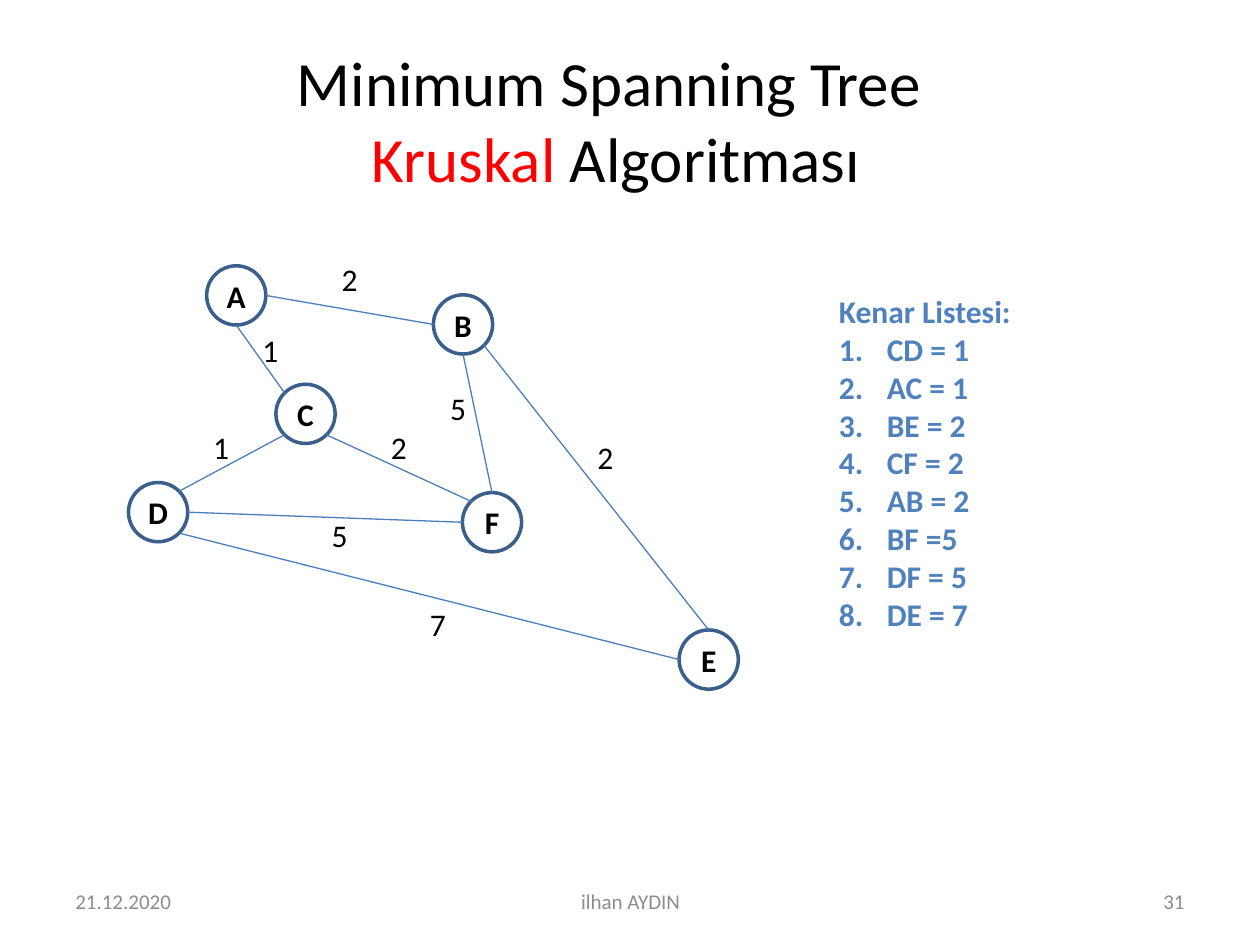
"""Build the slide on Kruskal's minimum spanning tree."""
from dataclasses import dataclass
from math import cos, radians, sin
from typing import Any

from lxml import etree
from pptx import Presentation
from pptx.dml.color import RGBColor
from pptx.enum import shapes, text
from pptx.oxml.ns import qn
from pptx.util import Inches, Pt


@dataclass(frozen=True)
class Theme:
    """Hold colours and type sizes."""
    font: str = "Calibri"
    ink: str = "000000"
    red: str = "FF0000"
    ring: str = "3A5F8C"
    edge: str = "4B7EBC"
    list: str = "4F81BD"
    gray: str = "8C8C8C"
    head: int = 36
    body: int = 18
    foot: int = 12


@dataclass(frozen=True)
class Node:
    """Hold a circle's left and top."""
    left: float
    top: float

    def site(self, angle: int) -> tuple[float, float]:
        """Give the point on the circle at a clockwise angle from the right."""
        half, turn = SIZE / 2, radians(angle)
        return self.left + half * (1 + cos(turn)), self.top + half * (1 + sin(turn))


@dataclass(frozen=True)
class Edge:
    """Hold an edge's ends, their angles, its weight and the label's place."""
    ends: str
    out: int
    into: int
    cost: str
    left: float
    top: float


@dataclass(frozen=True)
class Foot:
    """Hold a footer's words, place and alignment."""
    words: str
    left: float
    width: float
    align: text.PP_ALIGN


LOOK = Theme()
SIZE = 0.47
ALIGN = text.PP_ALIGN
MID = text.MSO_ANCHOR.MIDDLE
RIGHT, LOW_R, DOWN, LOW_L, LEFT, TOP_L, UP, TOP_R = range(0, 360, 45)
NODES = {
    "A": Node(1.64, 2.11), "C": Node(2.19, 3.05), "F": Node(3.67, 3.91),
    "D": Node(1.02, 3.83), "B": Node(3.44, 2.34), "E": Node(5.39, 5),
}
EDGES = [
    Edge("AB", RIGHT, LEFT, "2", 2.58, 2.03),
    Edge("DF", RIGHT, LEFT, "5", 2.5, 4.06),
    Edge("CF", LOW_R, TOP_L, "2", 2.97, 3.36),
    Edge("DC", TOP_R, LOW_L, "1", 1.56, 3.36),
    Edge("AC", DOWN, TOP_L, "1", 1.95, 2.59),
    Edge("BE", LOW_R, UP, "2", 4.61, 3.44),
    Edge("DE", LOW_R, LEFT, "7", 3.28, 4.77),
    Edge("BF", DOWN, UP, "5", 3.44, 3.05),
]
ITEMS = ["CD = 1", "AC = 1", "BE = 2", "CF = 2", "AB = 2", "BF =5", "DF = 5", "DE = 7"]
FEET = [
    Foot("21.12.2020", 0.5, 2.33, ALIGN.LEFT),
    Foot("31", 7.17, 2.33, ALIGN.RIGHT),
    Foot("ilhan AYDIN", 3.42, 3.17, ALIGN.CENTER),
]


def add_run(para: Any, words: str, size: int, color: str, bold: bool = False) -> None:
    """Add one styled run."""
    run = para.add_run()
    run.text = words
    font = run.font
    font.name, font.size, font.bold = LOOK.font, Pt(size), bold
    font.color.rgb = RGBColor.from_string(color)


def add_box(slide: Any, left: float, top: float, width: float, height: float) -> Any:
    """Add an empty text box and give its frame."""
    frame = slide.shapes.add_textbox(*map(Inches, (left, top, width, height))).text_frame
    frame.word_wrap = True
    return frame


def add_label(slide: Any, words: str, area: tuple[float, ...], size: int,
              color: str, align: text.PP_ALIGN) -> None:
    """Add one line of text centred in height."""
    frame = add_box(slide, *area)
    frame.vertical_anchor = MID
    para = frame.paragraphs[0]
    para.alignment = align
    add_run(para, words, size, color)


def add_title(slide: Any) -> None:
    """Fill the title in two lines."""
    title = slide.shapes.title
    title.left, title.top, title.width, title.height = map(Inches, (0.39, 0.39, 9, 1.11))
    frame = title.text_frame
    frame.auto_size = text.MSO_AUTO_SIZE.NONE
    frame.vertical_anchor = MID
    para = frame.paragraphs[0]
    para.alignment = ALIGN.CENTER
    add_run(para, "Minimum Spanning Tree ", LOOK.head, LOOK.ink)
    para.add_line_break()
    add_run(para, "Kruskal ", LOOK.head, LOOK.red)
    add_run(para, "Algoritması", LOOK.head, LOOK.ink)


def add_node(slide: Any, name: str, node: Node) -> None:
    """Draw a lettered circle."""
    ring = slide.shapes.add_shape(
        shapes.MSO_SHAPE.OVAL, *map(Inches, (node.left, node.top, SIZE, SIZE)))
    ring.shadow.inherit = False
    ring.fill.background()
    ring.line.color.rgb = RGBColor.from_string(LOOK.ring)
    ring.line.width = Pt(2)
    frame = ring.text_frame
    frame.margin_left = frame.margin_right = frame.margin_top = frame.margin_bottom = 0
    frame.vertical_anchor = MID
    para = frame.paragraphs[0]
    para.alignment = ALIGN.CENTER
    add_run(para, name, LOOK.body, LOOK.ink, True)


def add_edge(slide: Any, edge: Edge) -> None:
    """Draw the line between two circles."""
    start, end = (NODES[name] for name in edge.ends)
    points = start.site(edge.out) + end.site(edge.into)
    line = slide.shapes.add_connector(shapes.MSO_CONNECTOR.STRAIGHT, *map(Inches, points))
    line.line.color.rgb = RGBColor.from_string(LOOK.edge)
    line.line.width = Pt(0.75)
    etree.SubElement(line._element.spPr, qn("a:effectLst"))


def add_list(slide: Any) -> None:
    """Write the numbered list of edges."""
    frame = add_box(slide, 6.56, 2.27, 1.58, 3.13)
    frame.word_wrap = False
    frame.auto_size = text.MSO_AUTO_SIZE.SHAPE_TO_FIT_TEXT
    add_run(frame.paragraphs[0], "Kenar Listesi:", LOOK.body, LOOK.list, True)
    for item in ITEMS:
        para = frame.add_paragraph()
        props = para._p.get_or_add_pPr()
        props.set("marL", str(Inches(0.38)))
        props.set("indent", str(-Inches(0.38)))
        etree.SubElement(props, qn("a:buFont"), typeface=LOOK.font)
        etree.SubElement(props, qn("a:buAutoNum"), type="arabicPeriod")
        add_run(para, item, LOOK.body, LOOK.list, True)


def main() -> None:
    """Build and save the slide."""
    deck = Presentation()
    deck.slide_width, deck.slide_height = Inches(10), Inches(7.5)
    slide = deck.slides.add_slide(deck.slide_layouts.get_by_name("Title Only"))
    add_title(slide)
    for name, node in NODES.items():
        add_node(slide, name, node)
    for edge in EDGES:
        add_edge(slide, edge)
    for edge in EDGES:
        add_label(slide, edge.cost, (edge.left, edge.top, 0.39, 0.37),
                  LOOK.body, LOOK.ink, ALIGN.CENTER)
    add_list(slide)
    for foot in FEET:
        add_label(slide, foot.words, (foot.left, 6.95, foot.width, 0.4),
                  LOOK.foot, LOOK.gray, foot.align)
    deck.save("out.pptx")


if __name__ == "__main__":
    main()
